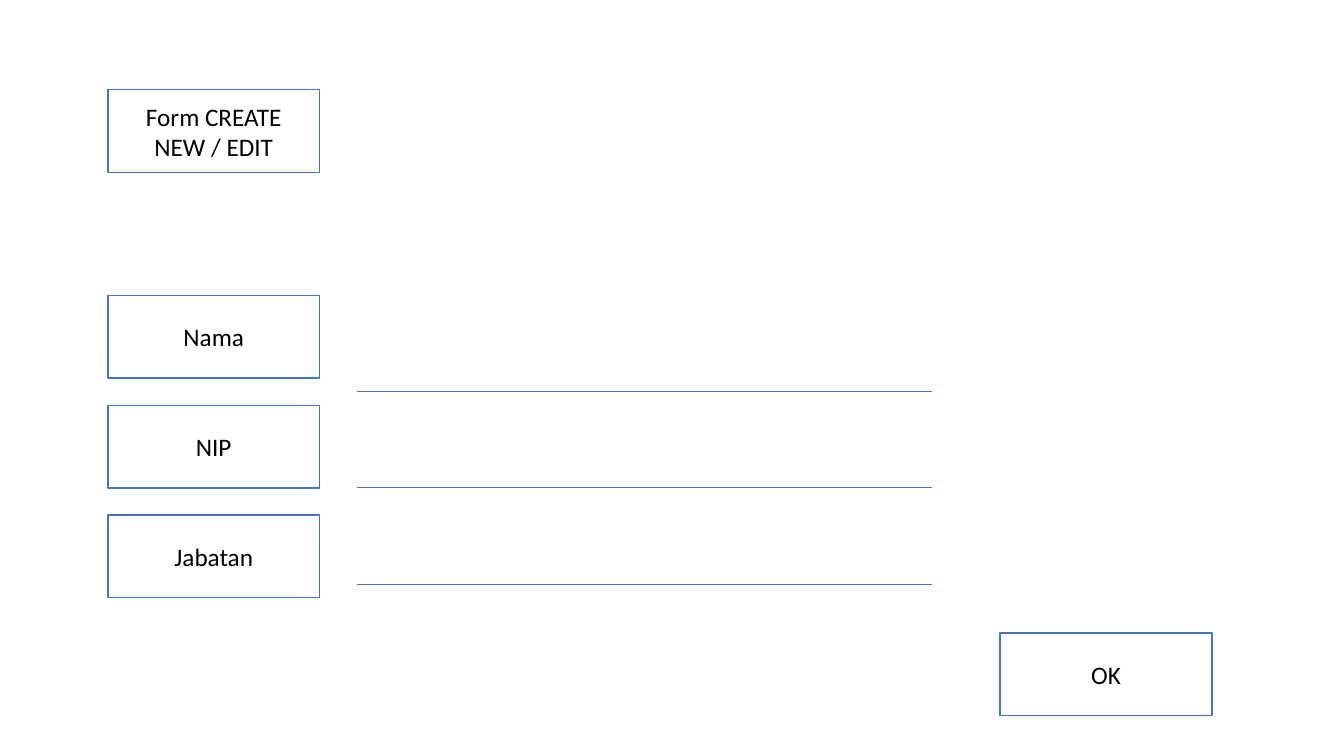
"""Build a form wireframe slide with labelled fields and an OK button."""
import dataclasses

import lxml.etree
import pptx
import pptx.dml.color
import pptx.enum.shapes
import pptx.enum.text
import pptx.oxml.ns
import pptx.util
from pptx.util import Inches


@dataclasses.dataclass(frozen=True)
class Theme:
    """Hold the colours, type and line sizes of the slide."""
    paper: str = "FFFFFF"
    ink: str = "000000"
    edge: str = "4472C4"
    font: str = "Calibri"
    size: float = 18
    border: float = 1
    rule: float = 0.5


THEME = Theme()
BOX_WIDTH, BOX_HEIGHT = 2.1, 0.82


def color(code):
    """Turn a hex code into a colour."""
    return pptx.dml.color.RGBColor.from_string(code)


def add_box(slide, left, top, text):
    """Draw an outlined box with centred text."""
    box = slide.shapes.add_shape(
        pptx.enum.shapes.MSO_SHAPE.RECTANGLE,
        Inches(left), Inches(top), Inches(BOX_WIDTH), Inches(BOX_HEIGHT))
    box.shadow.inherit = False
    box.fill.solid()
    box.fill.fore_color.rgb = color(THEME.paper)
    box.line.color.rgb = color(THEME.edge)
    box.line.width = pptx.util.Pt(THEME.border)
    frame = box.text_frame
    frame.word_wrap = True
    frame.vertical_anchor = pptx.enum.text.MSO_ANCHOR.MIDDLE
    para = frame.paragraphs[0]
    para.text = text
    para.alignment = pptx.enum.text.PP_ALIGN.CENTER
    para.font.name = THEME.font
    para.font.size = pptx.util.Pt(THEME.size)
    para.font.color.rgb = color(THEME.ink)


def add_rule(slide, left, top, width):
    """Draw a thin line to write on."""
    rule = slide.shapes.add_connector(
        pptx.enum.shapes.MSO_CONNECTOR.STRAIGHT,
        Inches(left), Inches(top), Inches(left + width), Inches(top))
    rule.line.color.rgb = color(THEME.edge)
    rule.line.width = pptx.util.Pt(THEME.rule)
    lxml.etree.SubElement(
        rule._element.spPr, pptx.oxml.ns.qn("a:effectLst"))


def add_fields(slide, left, top, width, labels):
    """Stack the labels on the left and their lines on the right."""
    indent, drop = 2.47, 0.95
    box_step, rule_step = 1.09, 0.96
    for row, label in enumerate(labels):
        add_box(slide, left, top + row * box_step, label)
        add_rule(slide, left + indent, top + drop + row * rule_step,
                 width - indent)


def main():
    """Build and save the slide."""
    deck = pptx.Presentation()
    deck.slide_width, deck.slide_height = Inches(13.33), Inches(7.5)
    slide = deck.slides.add_slide(deck.slide_layouts[6])
    margin = 1.07
    add_box(slide, margin, 0.89, "Form CREATE NEW / EDIT")
    add_fields(slide, margin, 2.93, 8.17, ("Nama", "NIP", "Jabatan"))
    add_box(slide, 9.92, 6.28, "OK")
    deck.save("out.pptx")


if __name__ == "__main__":
    main()
